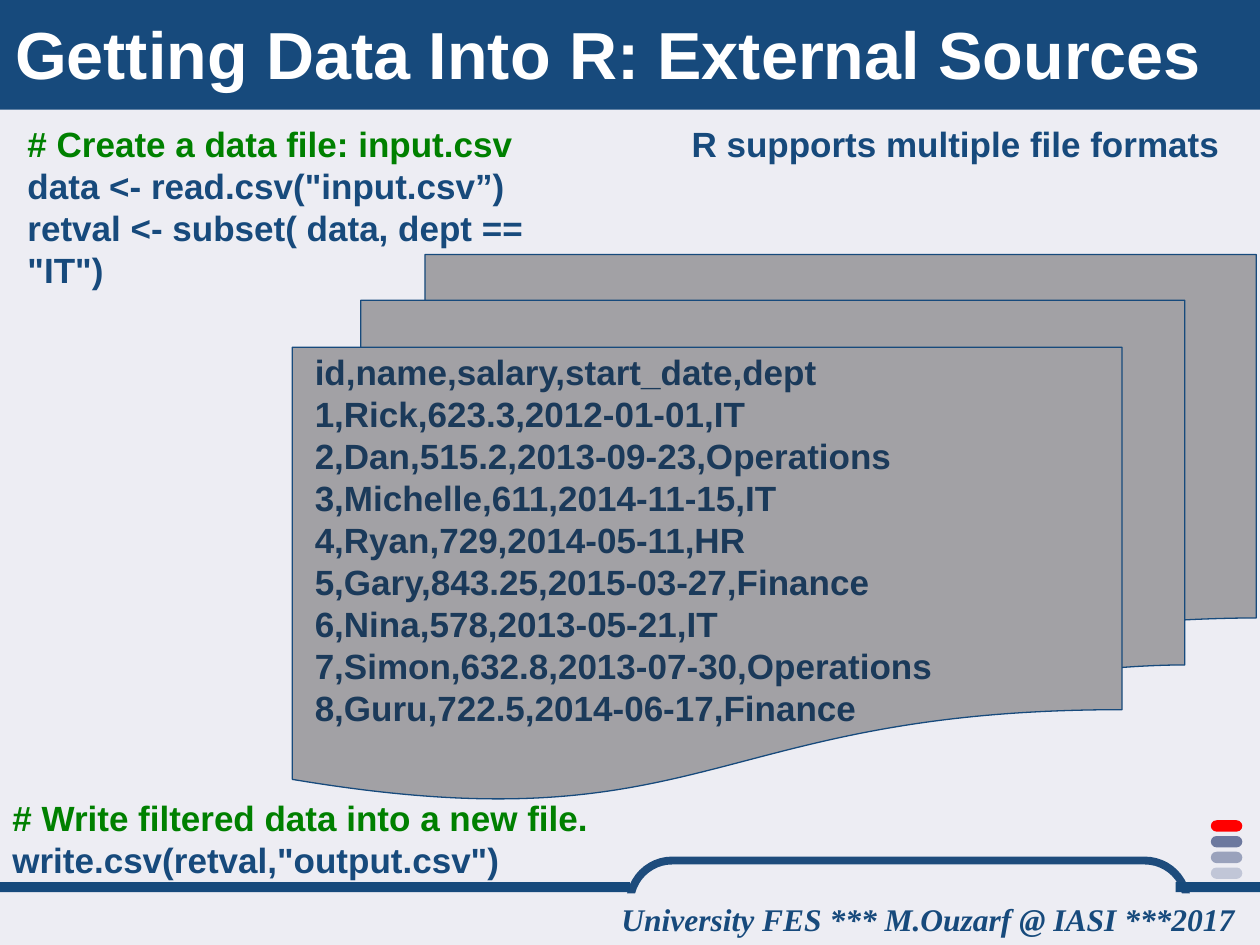
from pptx import Presentation
from pptx import util as u
from pptx.dml.color import RGBColor
from pptx.enum import shapes, text
from pptx.oxml.ns import qn
from lxml import etree

NAVY, PALE, GREEN, WHITE = "174A7C", "EDEDF3", "008000", "FFFFFF"
RECT = shapes.MSO_SHAPE.RECTANGLE
ROUND = shapes.MSO_SHAPE.ROUNDED_RECTANGLE

deck = Presentation()
deck.slide_width, deck.slide_height = u.Inches(10), u.Inches(7.5)
page = deck.slides.add_slide(deck.slide_layouts[6])
page.background.fill.solid()
page.background.fill.fore_color.rgb = RGBColor.from_string(PALE)


def add_block(kind, place, fill, line=None, width=0):
    block = page.shapes.add_shape(kind, *[u.Inches(v) for v in place])
    block.shadow.inherit = False
    block.fill.solid()
    block.fill.fore_color.rgb = RGBColor.from_string(fill)
    if kind == ROUND:
        block.adjustments[0] = 0.5
    if line:
        block.line.color.rgb = RGBColor.from_string(line)
        block.line.width = u.Pt(width)
    else:
        block.line.fill.background()
    return block


def write(box, lines, size=20, font="Arial", italic=False, wrap=True,
          align=text.PP_ALIGN.LEFT, anchor=text.MSO_ANCHOR.TOP):
    frame = box.text_frame
    frame.word_wrap = wrap
    frame.vertical_anchor = anchor
    for index, (words, color) in enumerate(lines):
        para = frame.add_paragraph() if index else frame.paragraphs[0]
        para.alignment = align
        span = para.add_run()
        span.text = words
        span.font.size, span.font.name = u.Pt(size), font
        span.font.bold, span.font.italic = True, italic
        span.font.color.rgb = RGBColor.from_string(color)


# Footer: raised tab, band and left rule
add_block(ROUND, (5, 6.83, 4.42, 0.67), PALE, "1E4C7C", 4.5)
add_block(RECT, (0, 7.11, 10, 0.39), PALE)
add_block(RECT, (0, 7, 5, 0.08), NAVY)
footer = add_block(ROUND, (0, 7.09, 9.96, 0.41), PALE)
write(footer, [("University FES *** M.Ouzarf @ IASI ***2017", NAVY)], 18,
      "Times New Roman", italic=True, wrap=False,
      align=text.PP_ALIGN.RIGHT, anchor=text.MSO_ANCHOR.MIDDLE)

# Stack of pills and right rule
for index, color in enumerate(["FF0000", "6C789E", "9AA2BC", "C1C6D7"]):
    add_block(ROUND, (9.61, 6.51 + index * 0.125, 0.25, 0.09), color)
add_block(RECT, (9.33, 7, 0.67, 0.08), NAVY)

# Title bar
title = add_block(RECT, (-0.08, -0.03, 10.2, 0.9), NAVY)
frame = title.text_frame
frame.margin_left = frame.margin_right = u.Inches(0.2)
frame.margin_top = frame.margin_bottom = 0
write(title, [("Getting Data Into R: External Sources", WHITE)], 38,
      wrap=False, anchor=text.MSO_ANCHOR.MIDDLE)

# Code, remark and file contents
records = [
    "id,name,salary,start_date,dept",
    "1,Rick,623.3,2012-01-01,IT",
    "2,Dan,515.2,2013-09-23,Operations",
    "3,Michelle,611,2014-11-15,IT",
    "4,Ryan,729,2014-05-11,HR",
    "5,Gary,843.25,2015-03-27,Finance",
    "6,Nina,578,2013-05-21,IT",
    "7,Simon,632.8,2013-07-30,Operations",
    "8,Guru,722.5,2014-06-17,Finance",
]
passages = [
    ((0, 6.27, 4.84, 0.77), True,
     [("# Write filtered data into a new file.", GREEN),
      ('write.csv(retval,"output.csv")', NAVY)]),
    ((0.12, 0.92, 4.8, 1.11), True,
     [("# Create a data file: input.csv", GREEN),
      ('data <- read.csv("input.csv”)', NAVY),
      ('retval <- subset( data, dept == "IT")', NAVY)]),
    ((5.39, 0.92, 4.43, 0.44), False,
     [("R supports multiple file formats", NAVY)]),
    ((2.4, 2.73, 5.87, 3.13), True, [(record, NAVY) for record in records]),
]
for place, wrap, lines in passages:
    box = page.shapes.add_textbox(*[u.Inches(v) for v in place])
    write(box, lines, wrap=wrap)

# Translucent document stack over the file contents
stack = add_block(shapes.MSO_SHAPE.FLOWCHART_MULTIDOCUMENT,
                  (2.32, 2.02, 7.65, 4.33), "231F20", NAVY, 0.75)
tint = stack.fill._xPr.find(qn("a:solidFill"))[0]
etree.SubElement(tint, qn("a:alpha")).set("val", "37000")

deck.save("out.pptx")
